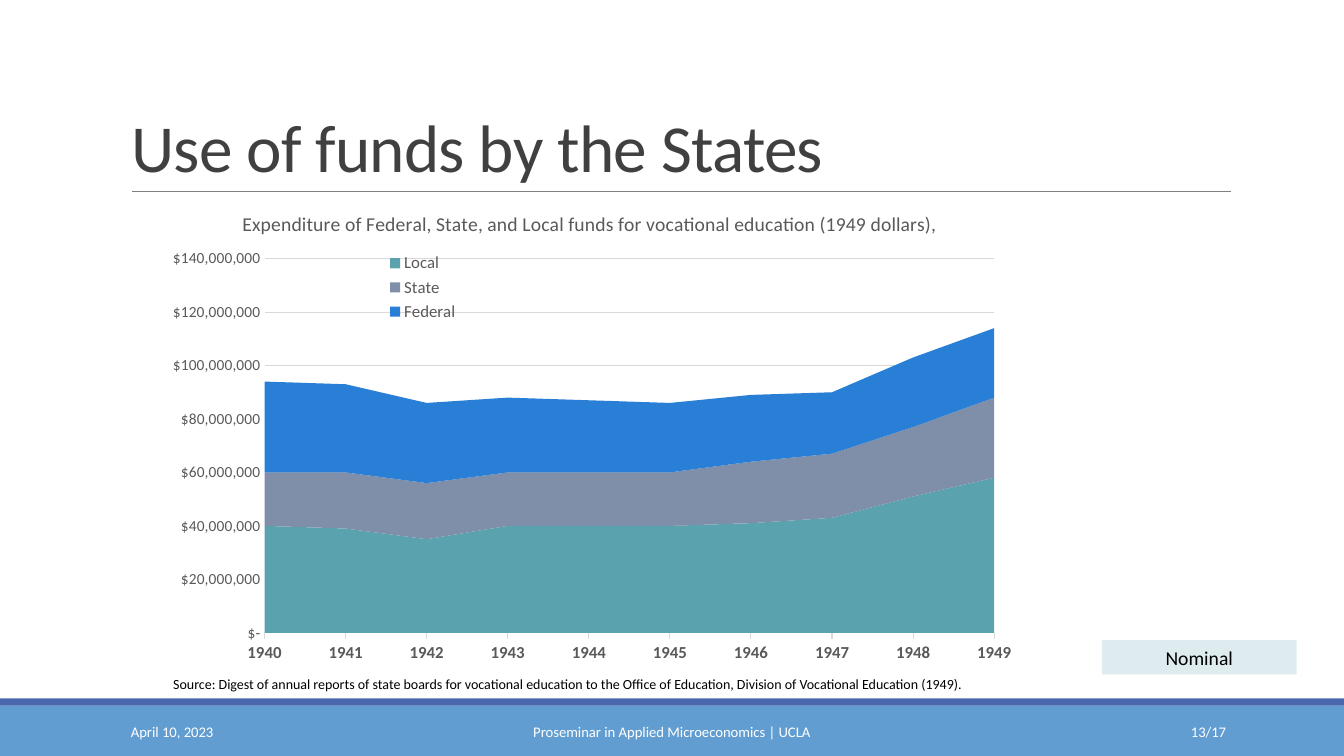
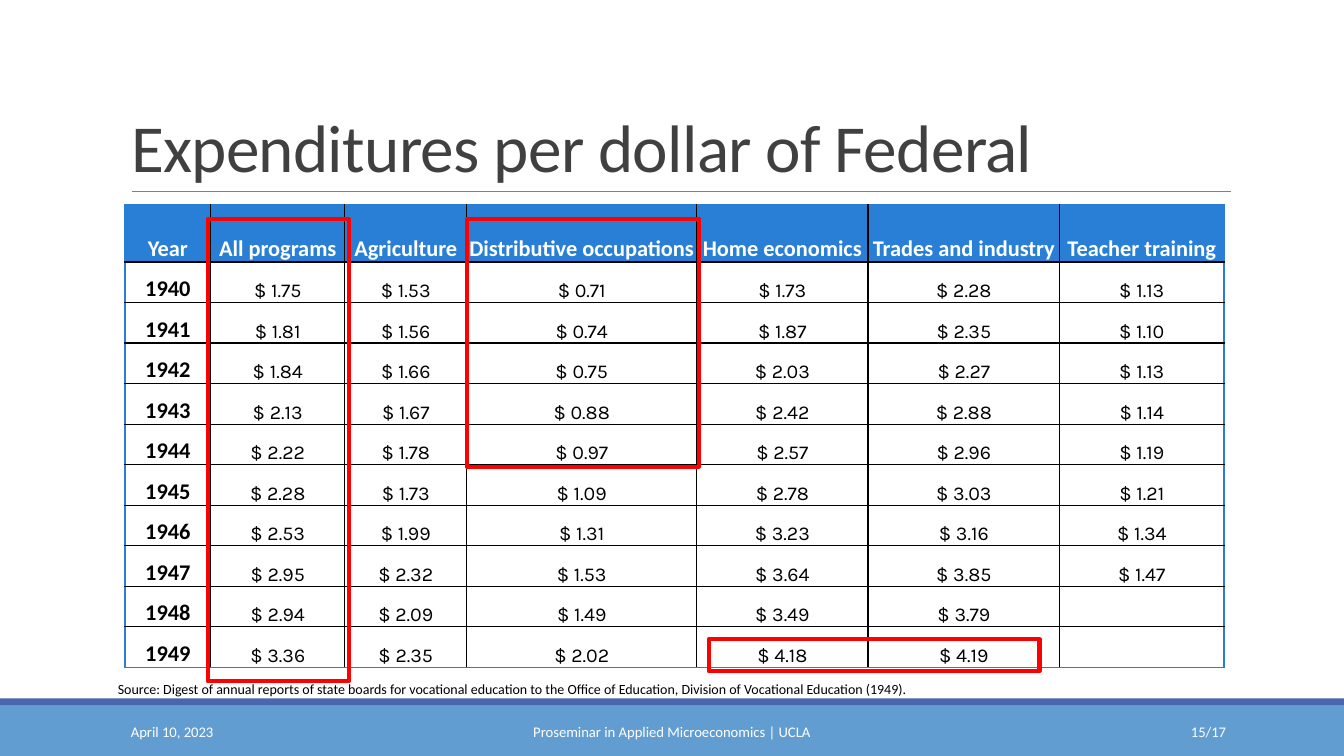
from lxml.etree import SubElement
from pptx import Presentation
from pptx.chart.data import CategoryChartData
from pptx.dml.color import RGBColor
from pptx.enum.chart import XL_CHART_TYPE, XL_LEGEND_POSITION, XL_TICK_MARK
from pptx.enum.shapes import MSO_CONNECTOR, MSO_SHAPE
from pptx.enum.text import MSO_ANCHOR, MSO_AUTO_SIZE, PP_ALIGN
from pptx.oxml import parse_xml
from pptx.oxml.ns import nsdecls, qn
from pptx.util import Inches, Pt

COLORS = {
    "band": "629DD1", "strip": "4A66AC", "rule": "808080", "title": "404040",
    "text": "000000", "white": "FFFFFF", "gray": "595959", "grid": "D9D9D9",
    "note": "DEECEF", "mark": "FF0000",
    "local": "5AA2AE", "state": "7F8FA9", "blue": "297FD5",
}
FONT = "Calibri"
WIDE, HIGH = 13.33, 7.5
SOURCE = ("Source: Digest of annual reports of state boards for vocational education "
          "to the Office of Education, Division of Vocational Education (1949).")

YEARS = [str(year) for year in range(1940, 1950)]
FUNDS = [  # millions of dollars
    ("Local", "local", [40, 39, 35, 40, 40, 40, 41, 43, 51, 58]),
    ("State", "state", [20, 21, 21, 20, 20, 20, 23, 24, 26, 30]),
    ("Federal", "blue", [34, 33, 30, 28, 27, 26, 25, 23, 26, 26]),
]
HEADS = ["Year", "All programs", "Agriculture", "Distributive occupations",
         "Home economics", "Trades and industry", "Teacher training"]
COLS = [0.85, 1.33, 1.21, 2.28, 1.7, 1.9, 1.63]
RATES = [
    [1.75, 1.53, 0.71, 1.73, 2.28, 1.13],
    [1.81, 1.56, 0.74, 1.87, 2.35, 1.10],
    [1.84, 1.66, 0.75, 2.03, 2.27, 1.13],
    [2.13, 1.67, 0.88, 2.42, 2.88, 1.14],
    [2.22, 1.78, 0.97, 2.57, 2.96, 1.19],
    [2.28, 1.73, 1.09, 2.78, 3.03, 1.21],
    [2.53, 1.99, 1.31, 3.23, 3.16, 1.34],
    [2.95, 2.32, 1.53, 3.64, 3.85, 1.47],
    [2.94, 2.09, 1.49, 3.49, 3.79, None],
    [3.36, 2.35, 2.02, 4.18, 4.19, None],
]


def rgb(name):
    return RGBColor.from_string(COLORS[name])


def inch(*sizes):
    return [Inches(size) for size in sizes]


def set_font(font, size, color, bold=False, face=FONT):
    font.name, font.size, font.bold = face, Pt(size), bold
    font.color.rgb = rgb(color)


def write(frame, text, size=10, color="text", bold=False, face=FONT,
          align=PP_ALIGN.LEFT, anchor=MSO_ANCHOR.TOP):
    """Fill a text frame with one formatted run and return that run."""
    frame.word_wrap = True
    frame.vertical_anchor = anchor
    para = frame.paragraphs[0]
    para.alignment = align
    run = para.add_run()
    run.text = text
    set_font(run.font, size, color, bold, face)
    return run


def add_text(slide, box, text, **style):
    write(slide.shapes.add_textbox(*inch(*box)).text_frame, text, **style)


def add_rect(slide, box, fill=None, line=None, weight=3):
    rect = slide.shapes.add_shape(MSO_SHAPE.RECTANGLE, *inch(*box))
    rect.shadow.inherit = False
    if fill:
        rect.fill.solid()
        rect.fill.fore_color.rgb = rgb(fill)
    else:
        rect.fill.background()
    if line:
        rect.line.color.rgb = rgb(line)
        rect.line.width = Pt(weight)
    else:
        rect.line.fill.background()
    return rect


def add_title(slide, box, text):
    title = slide.shapes.title
    title.left, title.top, title.width, title.height = inch(*box)
    frame = title.text_frame
    frame.auto_size = MSO_AUTO_SIZE.NONE
    run = write(frame, text, size=48, color="title", anchor=MSO_ANCHOR.BOTTOM)
    run.font._element.set("spc", "-50")
    frame.paragraphs[0].line_spacing = 0.85
    x, y, w, h = box
    rule = slide.shapes.add_connector(
        MSO_CONNECTOR.STRAIGHT, *inch(x + 0.11, y + h, x + w + 0.01, y + h))
    rule.line.color.rgb = rgb("rule")
    rule.line.width = Pt(0.5)
    SubElement(rule._element.spPr, qn("a:effectLst"))


def add_footer(slide, box, page):
    x, y, w, h = box
    add_rect(slide, box, "band")
    add_rect(slide, (x, y - 0.07, w, 0.07), "strip")
    parts = [
        (1.2, 2.7, "April 10, 2023", PP_ALIGN.LEFT),
        (4.03, 5.27, "Proseminar in Applied Microeconomics | UCLA", PP_ALIGN.CENTER),
        (10.83, 1.43, f"{page}/17", PP_ALIGN.RIGHT),
    ]
    for left, width, text, align in parts:
        add_text(slide, (x + left, y + 0.06, width, 0.4), text, size=10.5,
                 color="white", align=align, anchor=MSO_ANCHOR.MIDDLE)


def add_page(deck, title, page):
    slide = deck.slides.add_slide(deck.slide_layouts[5])
    add_title(slide, (1.2, 0.31, 11, 1.59), title)
    add_footer(slide, (0, 7, WIDE, 0.5), page)
    return slide


def lay_out(part, x, y, w, h, inner=False):
    """Give a plot area or legend a fixed place, in shares of the chart."""
    for old in part.findall(qn("c:layout")):
        part.remove(old)
    target = '<c:layoutTarget val="inner"/>' if inner else ""
    layout = parse_xml(
        f'<c:layout {nsdecls("c")}><c:manualLayout>{target}'
        '<c:xMode val="edge"/><c:yMode val="edge"/>'
        f'<c:x val="{x}"/><c:y val="{y}"/><c:w val="{w}"/><c:h val="{h}"/>'
        '</c:manualLayout></c:layout>')
    part.insert(0 if inner else 1, layout)


def add_funds(slide, box):
    data = CategoryChartData()
    data.categories = YEARS
    for name, _, values in FUNDS:
        data.add_series(name, [value * 1_000_000 for value in values])
    chart = slide.shapes.add_chart(
        XL_CHART_TYPE.AREA_STACKED, *inch(*box), data).chart
    set_font(chart.font, 10, "text")
    for series, (_, color, _) in zip(chart.plots[0].series, FUNDS):
        series.format.fill.solid()
        series.format.fill.fore_color.rgb = rgb(color)

    chart.has_title = True
    write(chart.chart_title.text_frame,
          "Expenditure of Federal, State, and Local funds for vocational "
          "education (1949 dollars),", size=14, color="gray", align=PP_ALIGN.CENTER)
    chart.chart_title.include_in_layout = False

    years = chart.category_axis
    years.major_tick_mark = XL_TICK_MARK.OUTSIDE
    set_font(years.tick_labels.font, 12, "gray", bold=True)
    dollars = chart.value_axis
    dollars.minimum_scale, dollars.maximum_scale = 0, 140_000_000
    dollars.major_unit = 20_000_000
    dollars.major_tick_mark = XL_TICK_MARK.NONE
    dollars.format.line.fill.background()
    set_font(dollars.tick_labels.font, 11, "gray")
    dollars.tick_labels.number_format = '"$"#,##0;"$"(#,##0);"$-"'
    dollars.tick_labels.number_format_is_linked = False
    for line in (years.format.line, dollars.major_gridlines.format.line):
        line.color.rgb = rgb("grid")
        line.width = Pt(0.75)

    chart.has_legend = True
    legend = chart.legend
    legend.position = XL_LEGEND_POSITION.TOP
    legend.include_in_layout = True
    set_font(legend.font, 12, "gray")
    lay_out(legend._element, 0.26, 0.12, 0.1, 0.16)
    lay_out(chart._chartSpace.chart.plotArea, 0.13, 0.14, 0.83, 0.78, inner=True)


def set_edges(cell, colors):
    """Draw left, right, top and bottom borders in the given colours."""
    props = cell._tc.get_or_add_tcPr()
    for side, color in zip("LRTB", colors):
        props.append(parse_xml(
            f'<a:ln{side} {nsdecls("a")} w="12700"><a:solidFill>'
            f'<a:srgbClr val="{COLORS[color]}"/></a:solidFill></a:ln{side}>'))


def add_rates(slide, box):
    rows = [HEADS]
    for year, rates in zip(YEARS, RATES):
        rows.append([year] + [f"$ {rate:.2f}" if rate else "" for rate in rates])
    table = slide.shapes.add_table(len(rows), len(COLS), *inch(*box)).table
    table.first_row = table.horz_banding = False
    for col, width in zip(table.columns, COLS):
        col.width = Inches(width)
    head = 0.57
    for r, texts in enumerate(rows):
        table.rows[r].height = Inches(
            (box[3] - head) / len(YEARS) if r else head)
        for c, text in enumerate(texts):
            cell = table.cell(r, c)
            cell.margin_left = cell.margin_right = cell.margin_top = Inches(0.01)
            cell.margin_bottom = 0
            outer = (c == 0, c == len(COLS) - 1, r == 0, r == len(YEARS))
            set_edges(cell, ["blue" if edge else "text" for edge in outer])
            if r == 0:
                cell.fill.solid()
                cell.fill.fore_color.rgb = rgb("blue")
            else:
                cell.fill.background()
            cell.vertical_anchor = MSO_ANCHOR.BOTTOM
            if not text:
                continue
            label = r == 0 or c == 0
            write(cell.text_frame, text, size=16 if label else 14,
                  color="text" if r else "white", bold=label,
                  face=FONT if label else "Karla",
                  align=PP_ALIGN.CENTER, anchor=MSO_ANCHOR.BOTTOM)


def add_marks(slide, box):
    x, y = box[:2]
    for left, top, width, height in [
            (0.82, 0.14, 1.4, 4.59), (3.39, 0.14, 2.3, 2.46), (5.79, 4.31, 3.28, 0.32)]:
        add_rect(slide, (x + left, y + top, width, height), line="mark")


def chart_page(deck):
    slide = add_page(deck, "Use of funds by the States", 13)
    add_funds(slide, (1.49, 1.9, 8.72, 4.76))
    add_text(slide, (1.62, 6.65, 8.96, 0.41), SOURCE)
    note = add_rect(slide, (10.93, 6.35, 1.93, 0.34), "note")
    write(note.text_frame, "Nominal", size=14, align=PP_ALIGN.CENTER,
          anchor=MSO_ANCHOR.MIDDLE)


def table_page(deck):
    slide = add_page(deck, "Expenditures per dollar of Federal", 15)
    box = (1.24, 2.03, sum(COLS), 4.59)
    add_rates(slide, box)
    add_text(slide, (1.07, 6.7, 8.96, 0.41), SOURCE)
    add_marks(slide, box)


def main():
    deck = Presentation()
    deck.slide_width, deck.slide_height = inch(WIDE, HIGH)
    chart_page(deck)
    table_page(deck)
    deck.save("out.pptx")


if __name__ == "__main__":
    main()
